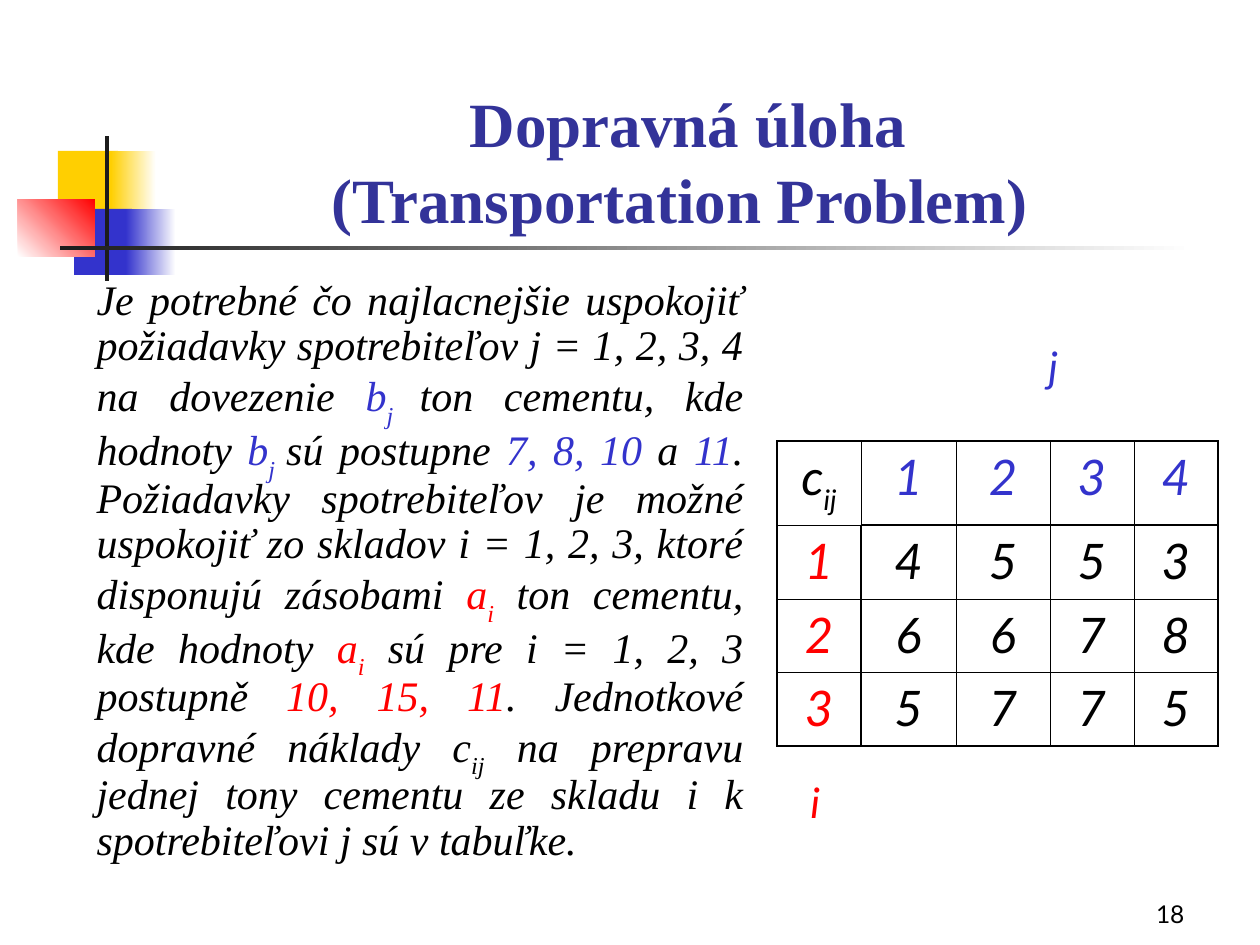
from dataclasses import dataclass
from typing import NamedTuple, Optional

from lxml.etree import SubElement
from pptx import Presentation
from pptx.dml.color import RGBColor
from pptx.enum.shapes import MSO_SHAPE
from pptx.enum.text import MSO_ANCHOR, MSO_AUTO_SIZE, PP_ALIGN
from pptx.oxml.ns import qn
from pptx.util import Emu, Pt

EMU_PER_PX = 914400 / 126


@dataclass(frozen=True)
class Theme:
    black: str = "000000"
    white: str = "FFFFFF"
    ink: str = "1C1C1C"
    yellow: str = "FFCF01"
    blue: str = "3333CC"
    red: str = "FF0000"
    heading: str = "333399"
    serif: str = "Times New Roman"
    sans: str = "Lato"
    title_size: int = 36
    body_size: int = 24
    cell_size: int = 28
    number_size: int = 14
    thin: float = 0.45
    outer: float = 1.08
    thick: float = 1.47


THEME = Theme()


class Box(NamedTuple):
    left: int
    top: int
    width: int
    height: int


class Block(NamedTuple):
    box: Box
    start: str
    end: Optional[str] = None
    angle: int = 0


class Span(NamedTuple):
    text: str
    color: Optional[str] = None
    sub: bool = False


class Label(NamedTuple):
    box: Box
    text: str
    color: str
    size: int = THEME.body_size
    italic: bool = True
    align: PP_ALIGN = PP_ALIGN.CENTER
    anchor: MSO_ANCHOR = MSO_ANCHOR.TOP


def px(length: int) -> Emu:
    return Emu(round(length * EMU_PER_PX))


def place(shape, box: Box) -> None:
    shape.left, shape.top, shape.width, shape.height = map(px, box)


def style(para, face, size, color, align, bold=False, italic=False) -> None:
    para.alignment = align
    font = para.font
    font.name, font.size, font.bold, font.italic = face, Pt(size), bold, italic
    font.color.rgb = RGBColor.from_string(color)


def add_spans(para, spans) -> None:
    for text, color, sub in spans:
        span = para.add_run()
        span.text = text
        if color:
            span.font.color.rgb = RGBColor.from_string(color)
        if sub:
            span._r.get_or_add_rPr().set("baseline", "-30000")


def add_block(page, block: Block) -> None:
    shape = page.shapes.add_shape(MSO_SHAPE.RECTANGLE, *map(px, block.box))
    shape.shadow.inherit = False
    shape.line.fill.background()
    if block.end is None:
        shape.fill.solid()
        shape.fill.fore_color.rgb = RGBColor.from_string(block.start)
        return
    shape.fill.gradient()
    shape.fill.gradient_angle = block.angle
    for stop, color in zip(shape.fill.gradient_stops, (block.start, block.end)):
        stop.color.rgb = RGBColor.from_string(color)


def add_label(page, label: Label) -> None:
    frame = page.shapes.add_textbox(*map(px, label.box)).text_frame
    frame.vertical_anchor = label.anchor
    para = frame.paragraphs[0]
    style(para, THEME.sans, label.size, label.color, label.align, italic=label.italic)
    para.add_run().text = label.text


def fill_title(title) -> None:
    place(title, Box(159, 84, 1074, 158))
    title.element.getparent().append(title.element)
    frame = title.text_frame
    frame.auto_size = MSO_AUTO_SIZE.NONE
    frame.vertical_anchor = MSO_ANCHOR.BOTTOM
    frame.margin_right = px(29)
    para = frame.paragraphs[0]
    style(para, THEME.serif, THEME.title_size, THEME.heading, PP_ALIGN.CENTER, bold=True)
    para.add_run().text = "Dopravná úloha"
    para.add_line_break()
    para.add_run().text = "(Transportation Problem) "


def fill_body(body, spans) -> None:
    place(body, Box(84, 273, 672, 609))
    body.element.getparent().append(body.element)
    body.text_frame.auto_size = MSO_AUTO_SIZE.NONE
    para = body.text_frame.paragraphs[0]
    props = para._p.get_or_add_pPr()
    props.set("marL", "0")
    props.set("indent", "0")
    SubElement(props, qn("a:buNone"))
    para.line_spacing = 0.9
    para.space_before = Pt(0)
    style(para, THEME.serif, THEME.body_size, THEME.black, PP_ALIGN.JUSTIFY, italic=True)
    add_spans(para, spans)


def set_borders(cell, widths) -> None:
    props = cell._tc.get_or_add_tcPr()
    for position, (side, width) in enumerate(widths.items()):
        line = props.makeelement(qn(f"a:ln{side}"), {"w": str(int(Pt(width)))})
        fill = SubElement(line, qn("a:solidFill"))
        SubElement(fill, qn("a:srgbClr")).set("val", THEME.black)
        props.insert(position, line)


def add_cost_table(page, columns, rows, costs) -> None:
    box = Box(777, 441, sum(columns), sum(rows))
    table = page.shapes.add_table(len(rows), len(columns), *map(px, box)).table
    table.first_row = table.horz_banding = False
    for column, width in zip(table.columns, columns):
        column.width = px(width)
    for row, height in zip(table.rows, rows):
        row.height = px(height)

    def edge(index: int, count: int, heading_side: bool) -> float:
        """Width of the grid line before a row or column."""
        if index in (0, count):
            return THEME.outer
        return THEME.thick if index == 1 and not heading_side else THEME.thin

    for r, values in enumerate(costs):
        for c, value in enumerate(values):
            cell = table.cell(r, c)
            cell.fill.background()
            color = THEME.black
            if r == 0 and c > 0:
                color = THEME.blue
            elif c == 0 and r > 0:
                color = THEME.red
            para = cell.text_frame.paragraphs[0]
            style(para, THEME.sans, THEME.cell_size, color, PP_ALIGN.CENTER, italic=True)
            add_spans(para, [Span("c"), Span("ij", sub=True)] if r == c == 0 else [Span(value)])
            set_borders(cell, {
                "L": edge(c, len(columns), r == 0),
                "R": edge(c + 1, len(columns), r == 0),
                "T": edge(r, len(rows), c == 0),
                "B": edge(r + 1, len(rows), c == 0),
            })


# Corner ornament and rule under the title
BLOCKS = [
    Block(Box(58, 151, 60, 66), THEME.yellow),
    Block(Box(111, 151, 45, 66), THEME.yellow, THEME.white),
    Block(Box(74, 209, 58, 66), THEME.blue),
    Block(Box(126, 209, 50, 66), THEME.blue, THEME.white),
    Block(Box(18, 199, 77, 58), THEME.white, THEME.red, 45),
    Block(Box(105, 136, 4, 145), THEME.ink),
    Block(Box(60, 246, 1134, 4), THEME.ink, THEME.white),
]

# Problem statement
DEMAND = [Span("b", THEME.blue), Span("j ", THEME.blue, True)]
SUPPLY = [Span("a", THEME.red), Span("i", THEME.red, True)]
STATEMENT = [
    Span("Je potrebné čo najlacnejšie uspokojiť požiadavky spotrebiteľov "
         "j = 1, 2, 3, 4 na dovezenie "), *DEMAND,
    Span("ton cementu, kde hodnoty "), *DEMAND,
    Span("sú postupne "), Span("7, 8, 10", THEME.blue), Span(" a "), Span("11", THEME.blue),
    Span(". Požiadavky spotrebiteľov je možné uspokojiť zo skladov i = 1, 2, 3, "
         "ktoré disponujú zásobami "), *SUPPLY,
    Span(" ton cementu, kde hodnoty "), *SUPPLY,
    Span(" sú pre i = 1, 2, 3 postupně "), Span("10, 15, 11", THEME.red),
    Span(". Jednotkové dopravné náklady c"), Span("ij", sub=True),
    Span(" na prepravu jednej tony cementu ze skladu i k spotrebiteľovi j sú v tabuľke."),
]

# Unit costs: first row holds consumers, first column holds warehouses
COSTS = [" 1234", "14553", "26678", "35775"]
NUMBER = Label(Box(935, 872, 262, 63), "18", THEME.black, THEME.number_size, False,
               PP_ALIGN.RIGHT, MSO_ANCHOR.BOTTOM)
INDEXES = [
    Label(Box(1036, 334, 30, 113), "j", THEME.blue),
    Label(Box(798, 770, 30, 113), "i", THEME.red),
]


def main() -> None:
    deck = Presentation()
    deck.slide_width, deck.slide_height = px(1260), px(945)
    page = deck.slides.add_slide(deck.slide_layouts[1])
    for block in BLOCKS:
        add_block(page, block)
    add_label(page, NUMBER)
    fill_title(page.shapes.title)
    fill_body(page.placeholders[1], STATEMENT)
    add_cost_table(page, (84, 95, 94, 84, 84), (84, 74, 73, 74), COSTS)
    for label in INDEXES:
        add_label(page, label)
    deck.save("out.pptx")


if __name__ == "__main__":
    main()
